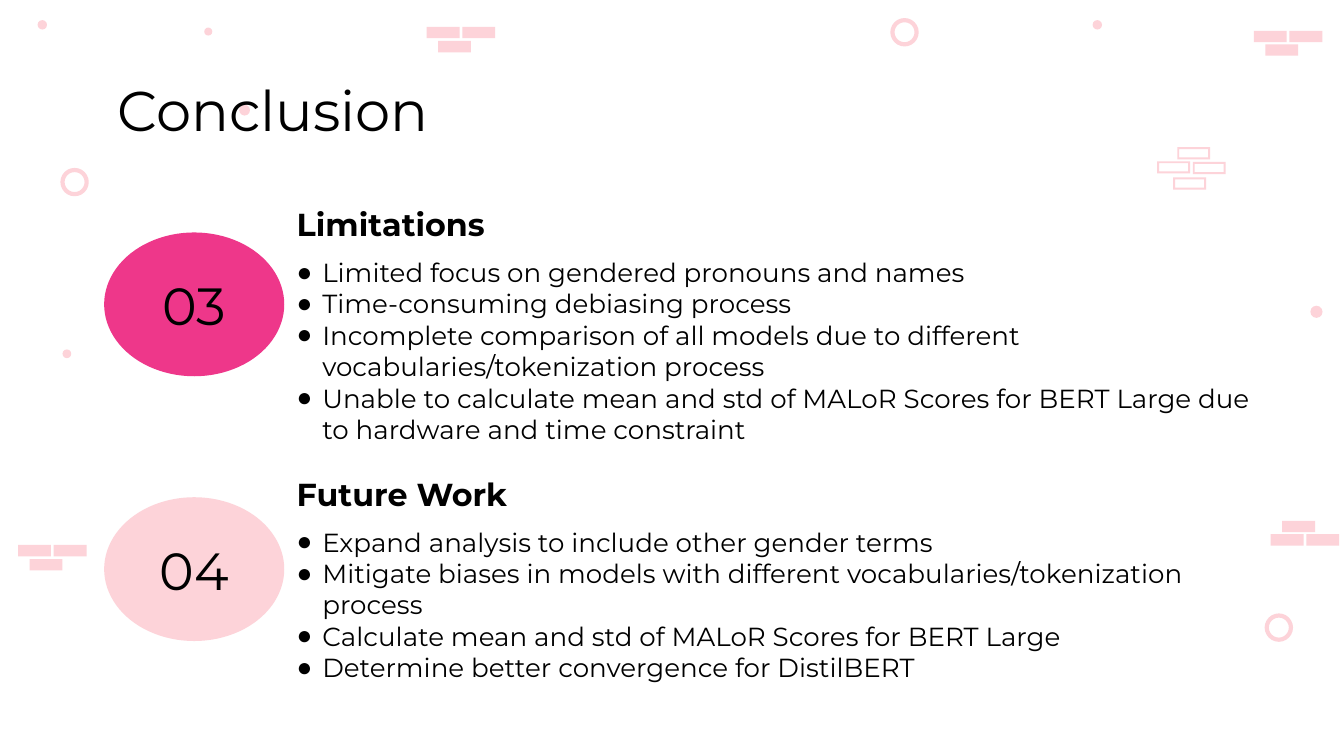
from pptx import Presentation
from pptx.dml.color import RGBColor
from pptx.enum.shapes import MSO_SHAPE
from pptx.enum.text import MSO_ANCHOR, PP_ALIGN
from pptx.oxml.ns import qn
from pptx.util import Pt
from lxml import etree

PX = 4572
FONT = "Montserrat"
BULLET_FONT = "Arial"
WHITE = RGBColor(0xFF, 0xFF, 0xFF)
BLACK = RGBColor(0x00, 0x00, 0x00)
MAGENTA = RGBColor(0xEE, 0x37, 0x8A)
BLUSH = RGBColor(0xFD, 0xD3, 0xD9)
OVAL, RECTANGLE, FRAME = MSO_SHAPE.OVAL, MSO_SHAPE.RECTANGLE, MSO_SHAPE.FRAME
LEFT, CENTER = PP_ALIGN.LEFT, PP_ALIGN.CENTER
MIDDLE = MSO_ANCHOR.MIDDLE

BRICK_PILES = [(1891, 795, -20), (1866, 46, 20), (635, 40, 21), (27, 811, 21)]
HOLLOW_BRICKS = [(1722, 240), (1752, 219), (1746, 264), (1775, 241)]
DOTS = [(1626, 30, 14), (356, 156, 16), (1950, 455, 18), (93, 520, 13), (304, 41, 12), (56, 30, 14)]
RINGS = [(1328, 30), (93, 253), (1885, 916)]
SECTIONS = [
    ("03", MAGENTA, 346, 426, "Limitations", [
        "Limited focus on gendered pronouns and names",
        "Time-consuming debiasing process",
        "Incomplete comparison of all models due to different vocabularies/tokenization process",
        "Unable to calculate mean and std of MALoR Scores for BERT Large due to hardware and time constraint",
    ]),
    ("04", BLUSH, 740, 804, "Future Work", [
        "Expand analysis to include other gender terms",
        "Mitigate biases in models with different vocabularies/tokenization process",
        "Calculate mean and std of MALoR Scores for BERT Large",
        "Determine better convergence for DistilBERT",
    ]),
]


class SlideBuilder:
    def __init__(self, slide):
        self.slide = slide
        background = slide.background.fill
        background.solid()
        background.fore_color.rgb = WHITE

    def shape(self, kind, left, top, width, height, fill=None, line=None):
        shape = self.slide.shapes.add_shape(kind, left * PX, top * PX, width * PX, height * PX)
        shape.shadow.inherit = False
        if fill is None:
            shape.fill.background()
        else:
            shape.fill.solid()
            shape.fill.fore_color.rgb = fill
        if line is None:
            shape.line.fill.background()
        else:
            shape.line.color.rgb = line
            shape.line.width = Pt(2.25)
        return shape

    def brick_pile(self, left, top, single_step):
        for x, y in [(left, top), (left + 53, top), (left + 17, top + single_step)]:
            self.shape(RECTANGLE, x, y, 49, 17, BLUSH)

    def hollow_brick(self, left, top):
        self.shape(FRAME, left, top, 49, 18, BLUSH).adjustments[0] = 0.16

    def run(self, paragraph, text, size, bold=False):
        run = paragraph.add_run()
        run.text = text
        run.font.name = FONT
        run.font.size = Pt(size)
        run.font.bold = bold
        run.font.color.rgb = BLACK

    def frame(self, shape, align=LEFT, bottom=20):
        frame = shape.text_frame
        frame.word_wrap = True
        frame.vertical_anchor = MIDDLE
        frame.margin_left = frame.margin_right = frame.margin_top = 20 * PX
        frame.margin_bottom = bottom * PX
        frame.paragraphs[0].alignment = align
        return frame

    def text_box(self, left, top, width, height, bottom=20):
        box = self.slide.shapes.add_textbox(left * PX, top * PX, width * PX, height * PX)
        return self.frame(box, bottom=bottom)

    def title(self, text):
        frame = self.text_box(155, 117, 1576, 90)
        self.run(frame.paragraphs[0], text, 30)

    def badge(self, top, number, fill):
        shape = self.shape(OVAL, 155, top, 268, 214, fill)
        frame = self.frame(shape, CENTER)
        self.run(frame.paragraphs[0], number, 28)

    def bullet(self, paragraph):
        properties = paragraph._p.get_or_add_pPr()
        properties.set("marL", str(38 * PX))
        properties.set("indent", str(-44 * PX))
        color = etree.SubElement(properties, qn("a:buClr"))
        etree.SubElement(color, qn("a:srgbClr"), val=str(BLACK))
        etree.SubElement(properties, qn("a:buFont"), typeface=BULLET_FONT)
        etree.SubElement(properties, qn("a:buChar"), char="●")

    def section(self, top, heading, points):
        frame = self.text_box(422, top, 1468, 184, bottom=89)
        paragraph = frame.paragraphs[0]
        paragraph.space_after = Pt(7)
        self.run(paragraph, heading, 17, bold=True)
        for point in points:
            paragraph = frame.add_paragraph()
            self.bullet(paragraph)
            self.run(paragraph, point, 14)


def main():
    presentation = Presentation()
    presentation.slide_width = 2000 * PX
    presentation.slide_height = 1125 * PX
    builder = SlideBuilder(presentation.slides.add_slide(presentation.slide_layouts[6]))

    for pile in BRICK_PILES:
        builder.brick_pile(*pile)
    for left, top, size in DOTS:
        builder.shape(OVAL, left, top, size, size, BLUSH)
    for left, top in RINGS:
        builder.shape(OVAL, left, top, 36, 36, line=BLUSH)
    for brick in HOLLOW_BRICKS:
        builder.hollow_brick(*brick)

    builder.title("Conclusion")
    for number, color, badge_top, text_top, heading, points in SECTIONS:
        builder.section(text_top, heading, points)
        builder.badge(badge_top, number, color)

    presentation.save("out.pptx")


if __name__ == "__main__":
    main()
